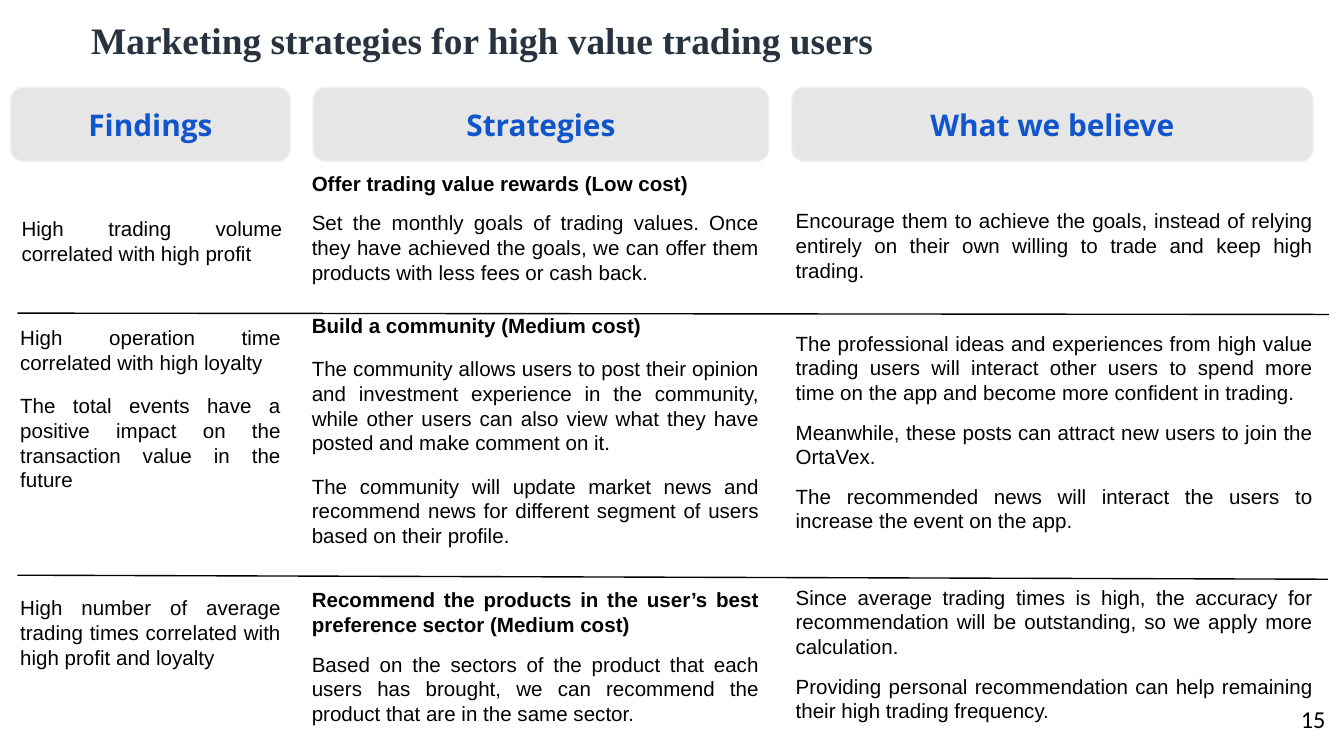
from dataclasses import dataclass

from lxml import etree
from pptx import Presentation
from pptx.dml.color import RGBColor
from pptx.enum.shapes import MSO_CONNECTOR, MSO_SHAPE
from pptx.enum.text import MSO_ANCHOR, MSO_AUTO_SIZE, PP_ALIGN
from pptx.oxml.ns import qn
from pptx.util import Inches, Pt


@dataclass(frozen=True)
class Style:
    font: str
    size: int
    color: str
    bold: bool = False


class Theme:
    title = Style("Times New Roman", 20, "29323F", True)
    header = Style("Open Sans", 16, "1155CC", True)
    body = Style("Arial", 11, "000000")
    lead = Style("Arial", 11, "000000", True)
    number = Style("Calibri", 13, "000000")
    panel = "E7E6E6"
    panel_line = "EEF2F5"
    rule = "000000"
    rule_width = 0.75


# Column headers: label, left, width
HEADERS = [("Findings", 0.08, 2.08), ("Strategies", 2.33, 3.39), ("What we believe", 5.89, 3.88)]

# Each cell: box, space before, bold lead (or None), body paragraphs
FINDINGS = [
    ((0.09, 1.57, 2.08, 0.48), 0, None, ["High trading volume correlated with high profit"]),
    ((0.08, 2.38, 2.08, 1.33), 10, None, [
        "High operation time correlated with high loyalty",
        "The total events have a positive impact on the transaction value in the future"]),
    ((0.08, 4.39, 2.08, 0.63), 0, None, [
        "High number of average trading times correlated with high profit and loyalty"]),
]
STRATEGIES = [
    ((2.25, 1.2, 3.47, 1), 8, "Offer trading value rewards (Low cost)", [
        "Set the monthly goals of trading values. Once they have achieved the goals, "
        "we can offer them products with less fees or cash back."]),
    ((2.25, 2.26, 3.47, 2.05), 10, "Build a community (Medium cost)", [
        "The community allows users to post their opinion and investment experience in the "
        "community, while other users can also view what they have posted and make comment on it.",
        "The community will update market news and recommend news for different segment of "
        "users based on their profile."]),
    ((2.25, 4.3, 3.47, 1.19), 8,
     "Recommend the products in the user’s best preference sector (Medium cost)", [
         "Based on the sectors of the product that each users has brought, we can recommend "
         "the product that are in the same sector."]),
]
BELIEFS = [
    ((5.85, 1.48, 3.99, 0.71), 8, None, [
        "Encourage them to achieve the goals, instead of relying entirely on their own "
        "willing to trade and keep high trading."]),
    ((5.85, 2.39, 3.99, 1.67), 8, None, [
        "The professional ideas and experiences from high value trading users will interact "
        "other users to spend more time on the app and become more confident in trading.",
        "Meanwhile, these posts can attract new users to join the OrtaVex.",
        "The recommended news will interact the users to increase the event on the app."]),
    ((5.85, 4.28, 3.99, 1.19), 8, None, [
        "Since average trading times is high, the accuracy for recommendation will be "
        "outstanding, so we apply more calculation.",
        "Providing personal recommendation can help remaining their high trading frequency."]),
]
# Row dividers: start x, start y, end x, end y
DIVIDERS = [(0.13, 2.33, 9.89, 2.34), (0.13, 4.28, 9.88, 4.31)]


def fill_text(tf, lines, align, margins, before=0):
    """Write (text, style) lines, one paragraph each."""
    tf.word_wrap = True
    tf.margin_left = tf.margin_right = Inches(margins[0])
    tf.margin_top = tf.margin_bottom = Inches(margins[1])
    for i, (text, style) in enumerate(lines):
        p = tf.paragraphs[0] if i == 0 else tf.add_paragraph()
        p.alignment = align
        p.space_before = Pt(before)
        r = p.add_run()
        r.text = text
        r.font.name = style.font
        r.font.size = Pt(style.size)
        r.font.bold = style.bold
        r.font.color.rgb = RGBColor.from_string(style.color)


def add_text(s, box, lines, align, margins, before=0):
    tf = s.shapes.add_textbox(*map(Inches, box)).text_frame
    fill_text(tf, lines, align, margins, before)
    return tf


def add_header(s, box, label):
    sp = s.shapes.add_shape(MSO_SHAPE.ROUNDED_RECTANGLE, *map(Inches, box))
    sp.shadow.inherit = False
    sp.fill.solid()
    sp.fill.fore_color.rgb = RGBColor.from_string(Theme.panel)
    sp.line.color.rgb = RGBColor.from_string(Theme.panel_line)
    sp.line.width = Pt(Theme.rule_width)
    sp.text_frame.vertical_anchor = MSO_ANCHOR.MIDDLE
    fill_text(sp.text_frame, [(label, Theme.header)], PP_ALIGN.CENTER, (0.07, 0.07))


def add_column(s, cells, top_margin):
    for box, before, lead, body in cells:
        lines = [(lead, Theme.lead)] if lead else []
        lines += [(text, Theme.body) for text in body]
        tf = add_text(s, box, lines, PP_ALIGN.JUSTIFY, (0.07, top_margin), before)
        tf.auto_size = MSO_AUTO_SIZE.SHAPE_TO_FIT_TEXT


def add_divider(s, ends):
    line = s.shapes.add_connector(MSO_CONNECTOR.STRAIGHT, *map(Inches, ends))
    line.line.color.rgb = RGBColor.from_string(Theme.rule)
    line.line.width = Pt(Theme.rule_width)
    etree.SubElement(line._element.spPr, qn("a:effectLst"))


def build_strategy_slide(prs):
    s = prs.slides.add_slide(prs.slide_layouts[6])
    # Title
    add_text(s, (0.58, 0.08, 6.31, 0.55),
             [("Marketing strategies for high value trading users", Theme.title)],
             PP_ALIGN.JUSTIFY, (0.1, 0.05))
    # Column headers
    for label, left, width in HEADERS:
        add_header(s, (left, 0.65, width, 0.55), label)
    # Row dividers
    for ends in DIVIDERS:
        add_divider(s, ends)
    # Columns
    add_column(s, FINDINGS, 0.04)
    add_column(s, STRATEGIES, 0.07)
    add_column(s, BELIEFS, 0.07)
    # Page number
    add_text(s, (9.36, 5.19, 0.6, 0.43), [("15", Theme.number)], PP_ALIGN.RIGHT, (0.1, 0.05))


def main():
    prs = Presentation()
    # 16:9 page
    prs.slide_width = Inches(10)
    prs.slide_height = prs.slide_width * 9 // 16
    build_strategy_slide(prs)
    prs.save("out.pptx")


if __name__ == "__main__":
    main()
